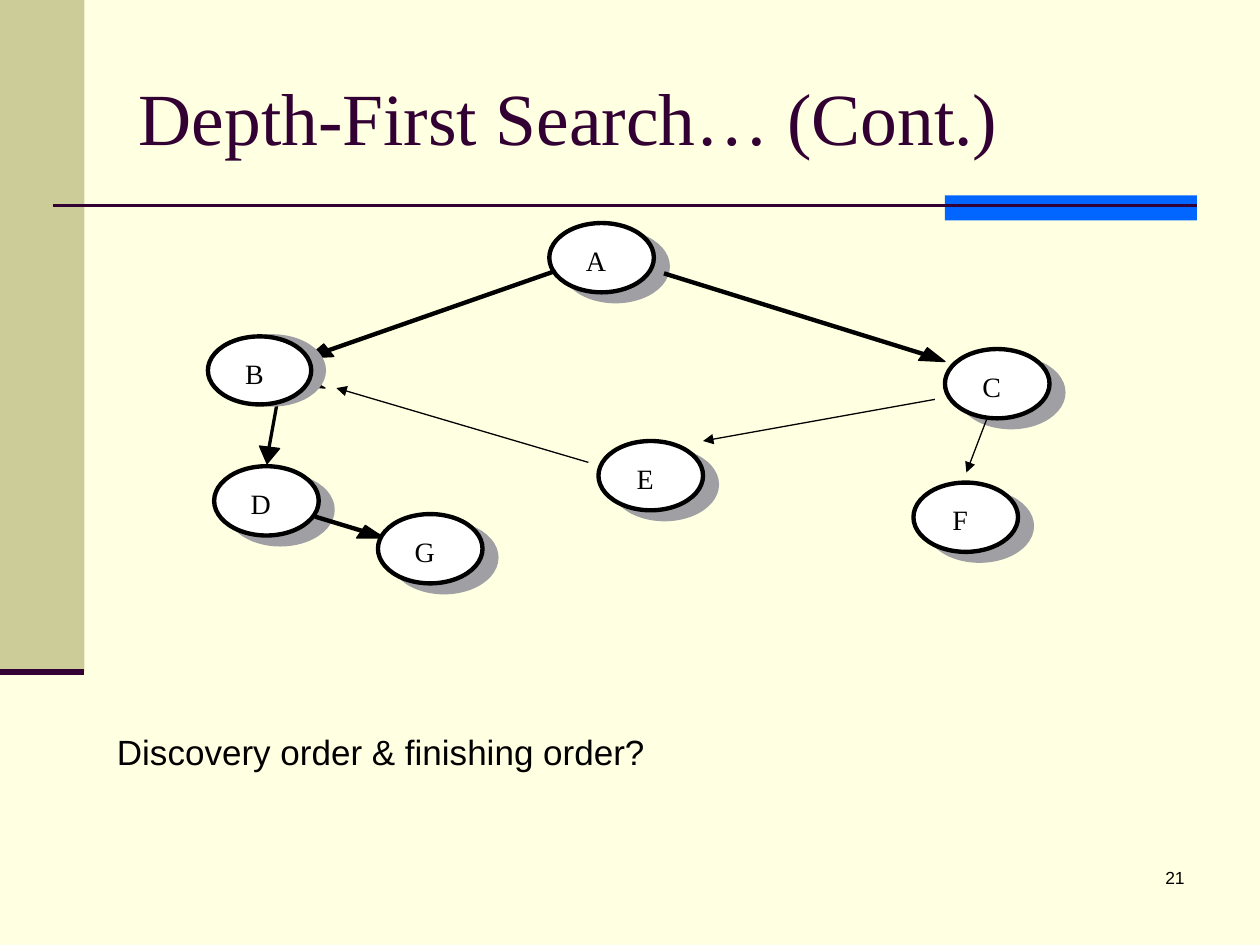
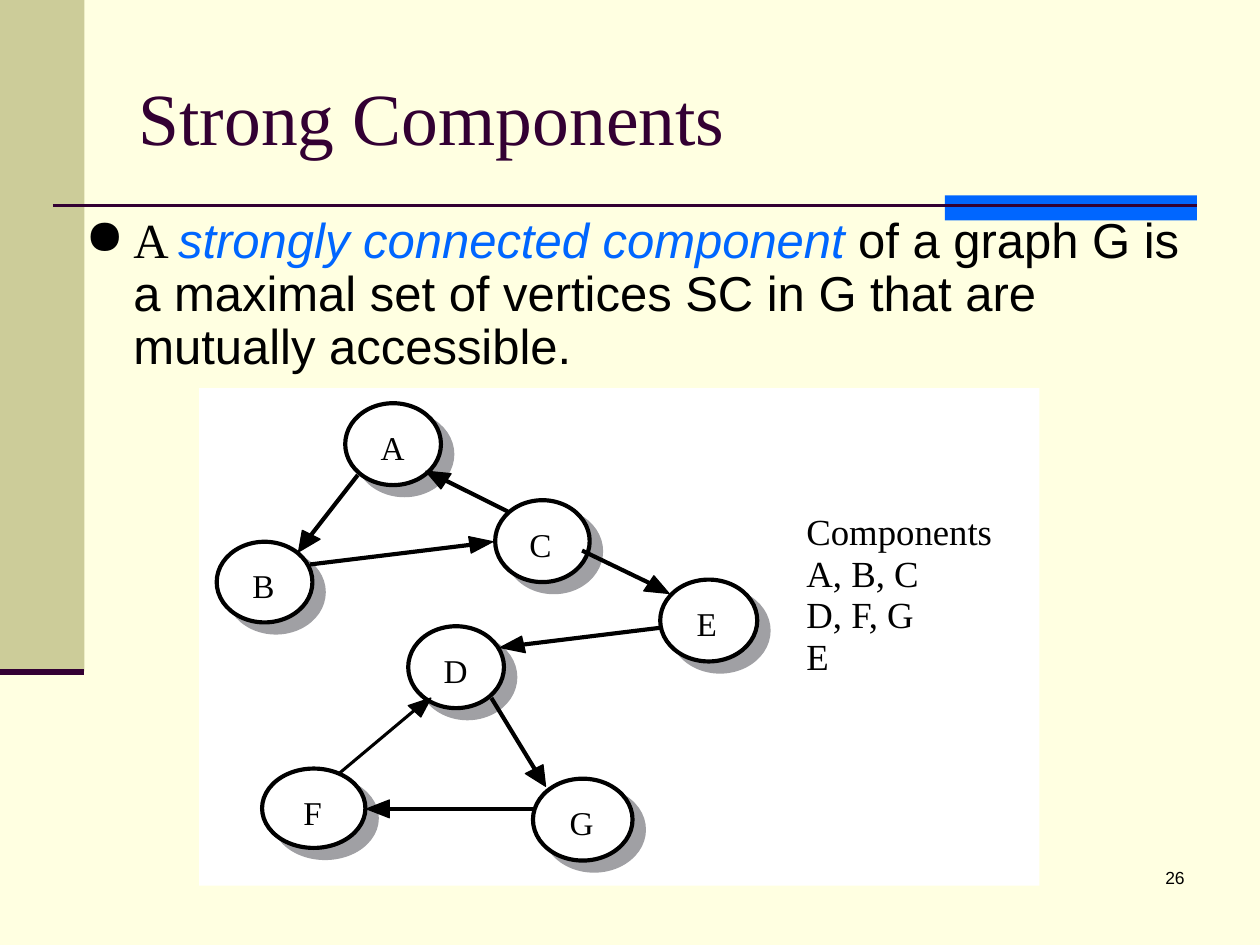
import dataclasses

import pptx
import pptx.dml.color
import pptx.enum.shapes
import pptx.enum.text
import pptx.oxml
import pptx.oxml.ns
import pptx.util

PX = 9144  # EMU per px, 100 px to the inch
SHAPE = pptx.enum.shapes.MSO_SHAPE
ALIGN = pptx.enum.text.PP_ALIGN
ANCHOR = pptx.enum.text.MSO_ANCHOR


@dataclasses.dataclass(frozen=True)
class Theme:
    paper: str = "FFFFE1"
    band: str = "CCCC99"
    accent: str = "0066FF"
    plum: str = "330033"
    ink: str = "000000"
    white: str = "FFFFFF"
    shade: str = "A0A0A4"
    serif: str = "Times New Roman"
    sans: str = "Arial"
    title: int = 42
    body: int = 28
    listing: int = 21
    question: int = 20
    number: int = 10
    thin: float = 0.75


@dataclasses.dataclass(frozen=True)
class NodeStyle:
    """Look of the vertices of one graph."""
    shadow: tuple
    nudge: int  # label centre, left of the ellipse's centre
    label_top: int
    label_box: tuple
    size: int
    line: float


def rgb(value):
    return pptx.dml.color.RGBColor.from_string(value)


def px(*values):
    return [v * PX for v in values]


def add_xml(parent, tag, children="", **attrs):
    pairs = "".join(f' {k}="{v}"' for k, v in attrs.items())
    ns = pptx.oxml.ns.nsdecls("a")
    parent.append(pptx.oxml.parse_xml(f"<a:{tag} {ns}{pairs}>{children}</a:{tag}>"))


class Deck:
    def __init__(self, theme):
        self.theme = theme
        self.prs = pptx.Presentation()
        self.prs.slide_width, self.prs.slide_height = px(1000, 750)
        self.slide = None

    # Frame shared by all slides
    def new_slide(self, title, number):
        t = self.theme
        self.slide = self.prs.slides.add_slide(self.prs.slide_layouts[5])
        fill = self.slide.background.fill
        fill.solid()
        fill.fore_color.rgb = rgb(t.paper)
        self.shape(SHAPE.RECTANGLE, (0, 0, 67, 533), t.band)
        self.shape(SHAPE.RECTANGLE, (750, 155, 200, 20), t.accent)
        self.line((42, 163), (950, 163), 1.5, t.plum)
        self.line((0, 533), (67, 533), 3.5, t.plum)
        self.text(str(number), (742, 683, 208, 50), t.number, t.sans, align=ALIGN.RIGHT)
        self.title(title)

    def font(self, font, size, name, color):
        font.size = pptx.util.Pt(size)
        font.name = name
        font.color.rgb = rgb(color)

    def title(self, text):
        t = self.theme
        sp = self.slide.shapes.title
        sp.left, sp.top, sp.width, sp.height = px(100, 30, 850, 125)
        tf = sp.text_frame
        tf.text = text
        tf.auto_size = pptx.enum.text.MSO_AUTO_SIZE.NONE
        tf.vertical_anchor = ANCHOR.MIDDLE
        p = tf.paragraphs[0]
        p.alignment = ALIGN.LEFT
        self.font(p.font, t.title, t.serif, t.plum)

    def text(self, text, box, size, name, align=ALIGN.LEFT, tight=False):
        tf = self.slide.shapes.add_textbox(*px(*box)).text_frame
        tf.word_wrap = not tight
        if tight:
            tf.margin_left = tf.margin_right = tf.margin_top = tf.margin_bottom = 0
        p = tf.paragraphs[0]
        p.text = text
        p.alignment = align
        self.font(p.font, size, name, self.theme.ink)

    def bullet(self, runs, box, indent):
        """Runs are (text, font name, colour, italic)."""
        t = self.theme
        tf = self.slide.shapes.add_textbox(*px(*box)).text_frame
        tf.word_wrap = True
        p = tf.paragraphs[0]
        p.line_spacing = 0.9
        for text, name, color, italic in runs:
            r = p.add_run()
            r.text = text
            r.font.italic = italic
            self.font(r.font, t.body, name, color)
        ppr = p._p.get_or_add_pPr()
        ppr.set("marL", str(indent * PX))
        ppr.set("indent", str(-indent * PX))
        add_xml(ppr, "buClr", f'<a:srgbClr val="{t.ink}"/>')
        add_xml(ppr, "buChar", char="●")

    def paint(self, sp, fill, line=None, width=0.0):
        sp.shadow.inherit = False
        sp.fill.solid()
        sp.fill.fore_color.rgb = rgb(fill)
        if line:
            sp.line.color.rgb = rgb(line)
            sp.line.width = pptx.util.Pt(width)
        else:
            sp.line.fill.background()

    def shape(self, kind, box, fill, line=None, width=0.0):
        sp = self.slide.shapes.add_shape(kind, *px(*box))
        self.paint(sp, fill, line, width)

    def line(self, start, end, width, color=None, arrow=False):
        straight = pptx.enum.shapes.MSO_CONNECTOR.STRAIGHT
        cx = self.slide.shapes.add_connector(straight, *px(*start, *end))
        cx.line.color.rgb = rgb(color or self.theme.ink)
        cx.line.width = pptx.util.Pt(width)
        if arrow:
            add_xml(cx.line._get_or_add_ln(), "tailEnd", type="triangle")
        add_xml(cx._element.spPr, "effectLst")

    def head(self, tip, *corners):
        builder = self.slide.shapes.build_freeform(*tip, scale=PX)
        builder.add_line_segments(corners, close=True)
        t = self.theme
        self.paint(builder.convert_to_shape(), t.ink, t.ink, t.thin)

    def arrow(self, start, end, width, *points):
        self.line(start, end, width)
        self.head(*points)

    def node(self, name, box, style, shadow=None):
        t = self.theme
        x, y, w, h = box
        dx, dy = shadow or style.shadow
        self.shape(SHAPE.OVAL, (x + dx, y + dy, w, h), t.shade, t.shade, style.line)
        self.shape(SHAPE.OVAL, box, t.white, t.ink, style.line)
        lw, lh = style.label_box
        left = x + (w - lw) // 2 - style.nudge
        self.text(name, (left, y + style.label_top, lw, lh), style.size, t.serif,
                  ALIGN.CENTER, tight=True)


def search_slide(deck):
    t = deck.theme
    deck.new_slide("Depth-First Search… (Cont.)", 21)
    deck.text("Discovery order & finishing order?", (83, 575, 883, 43), t.question, t.sans)
    style = NodeStyle((11, 7), 4, 16, (16, 27), 16, 2.5)

    # Vertices below the tree edges
    for name, x, y in (("D", 170, 370), ("A", 436, 177), ("C", 750, 277), ("E", 475, 350)):
        deck.node(name, (x, y, 83, 55), style)

    # Tree edges
    for edge in (
        ((258, 279), (441, 215), 2.5, (244, 284), (257, 273), (265, 283)),
        ((527, 217), (736, 282), 2.5, (750, 287), (729, 286), (736, 276)),
        ((250, 410), (316, 430), 2.5, (305, 427), (283, 427), (290, 417)),
        ((213, 358), (223, 303), 1.87, (212, 368), (206, 354), (222, 356)),
    ):
        deck.arrow(*edge)
    deck.head((258, 308), (244, 300), (233, 306))

    # Vertices above the tree edges
    deck.node("B", (165, 267, 82, 54), style, shadow=(10, 0))
    deck.node("F", (725, 383, 83, 55), style)
    deck.node("G", (300, 408, 83, 55), style)

    # Other edges
    for start, end in (
        ((783, 333), (767, 375)),
        ((742, 317), (558, 350)),
        ((467, 367), (267, 308)),
    ):
        deck.line(start, end, t.thin, arrow=True)


def components_slide(deck):
    t = deck.theme
    deck.new_slide("Strong Components", 26)
    deck.bullet((
        ("A ", t.serif, t.ink, False),
        ("strongly connected component", t.sans, t.accent, True),
        (" of a graph G is a maximal set of vertices SC in G that are mutually accessible.",
         t.sans, t.ink, False),
    ), (58, 167, 908, 142), 38)
    deck.shape(SHAPE.RECTANGLE, (158, 308, 667, 395), t.white)

    # List of components
    for i, row in enumerate(("Components", "A, B, C", "D, F, G", "E")):
        deck.text(row, (640, 404 + 33 * i, 148, 35), t.listing, t.serif, tight=True)

    # Vertices
    style = NodeStyle((9, 8), 1, 19, (18, 32), 19, 2.37)
    for name, *box in (
        ("F", 208, 610, 82, 63),
        ("E", 524, 460, 77, 65),
        ("C", 393, 397, 75, 65),
        ("A", 274, 320, 76, 65),
        ("B", 172, 430, 76, 64),
        ("D", 324, 497, 76, 65),
        ("G", 423, 618, 79, 65),
    ):
        deck.node(name, box, style)

    # Edges
    for edge in (
        ((462, 437), (518, 464), 2.37, (531, 471), (511, 469), (519, 457)),
        ((284, 377), (245, 427), 2.37, (237, 438), (240, 421), (254, 428)),
        ((246, 448), (377, 432), 2.37, (391, 430), (374, 439), (372, 426)),
        ((403, 406), (351, 380), 2.37, (338, 374), (358, 376), (350, 388)),
        ((423, 642), (306, 642), 2.37, (291, 642), (309, 635), (309, 649)),
        ((269, 614), (331, 562), 1.75, (342, 554), (334, 569), (324, 560)),
        ((526, 498), (412, 512), 2.37, (397, 514), (414, 505), (417, 518)),
        ((390, 554), (426, 613), 2.37, (433, 624), (417, 614), (431, 607)),
    ):
        deck.arrow(*edge)


def main():
    deck = Deck(Theme())
    search_slide(deck)
    components_slide(deck)
    deck.prs.save("out.pptx")


if __name__ == "__main__":
    main()
